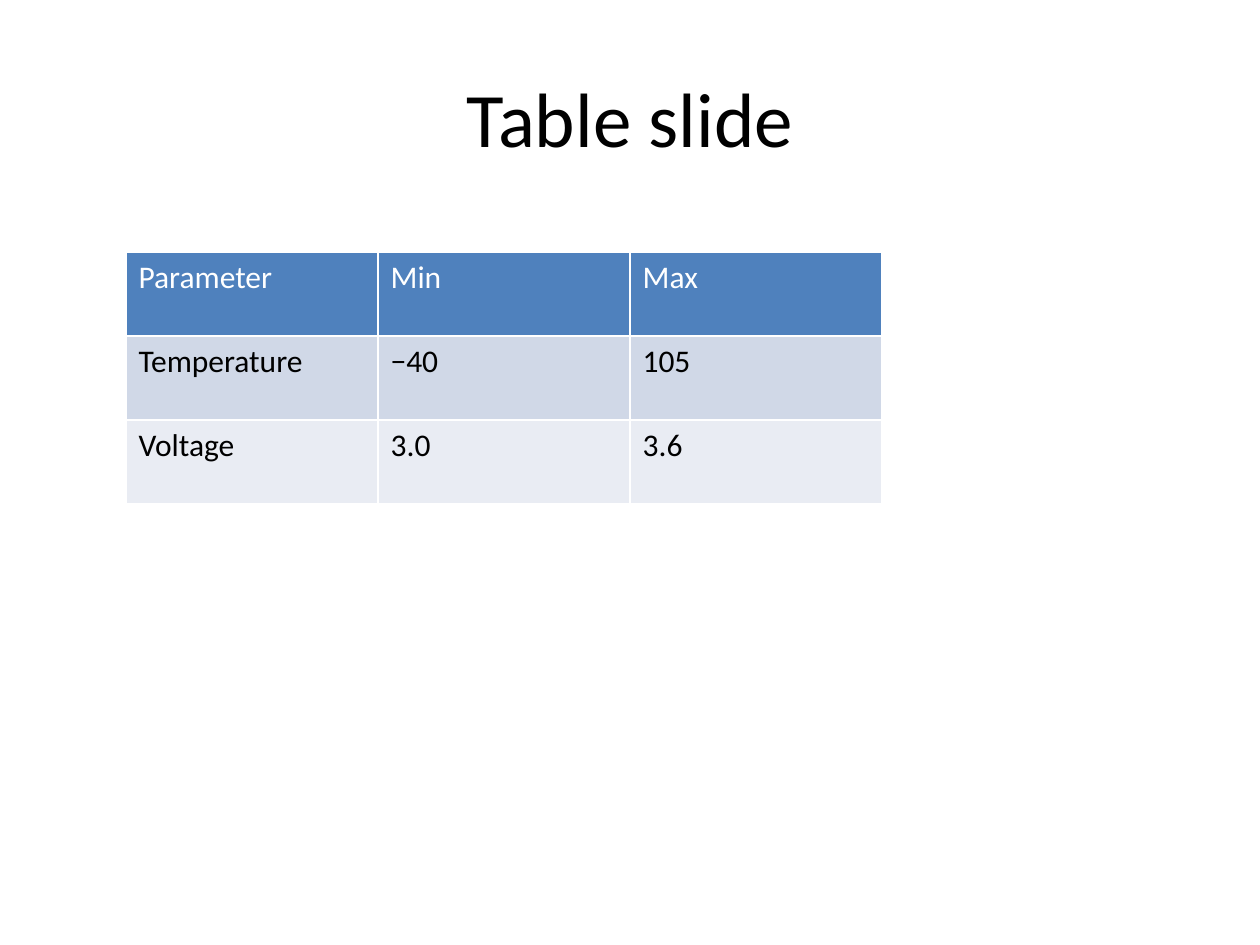
from dataclasses import dataclass

from lxml.etree import SubElement
from pptx import Presentation
from pptx.dml.color import RGBColor as RGB
from pptx.enum.text import MSO_ANCHOR as Anchor, PP_ALIGN as Align
from pptx.oxml.ns import qn
from pptx.util import Inches, Pt


@dataclass(frozen=True)
class Theme:
    font: str = "Calibri"
    title_size: int = 44
    cell_size: int = 18
    border_width: float = 0.96
    text: str = "000000"
    header_text: str = "FFFFFF"
    header_fill: str = "4F81BD"
    band_fills: tuple = ("D0D8E7", "E9ECF3")
    border: str = "FFFFFF"


THEME = Theme()
TITLE = "Table slide"
LIMITS = [
    ("Parameter", "Min", "Max"),
    ("Temperature", "−40", "105"),
    ("Voltage", "3.0", "3.6"),
]


def style_para(para, size, color):
    font = para.font
    font.name = THEME.font
    font.size = Pt(size)
    font.bold = False
    font.color.rgb = RGB.from_string(color)


def add_title(page, text):
    box = page.shapes.add_textbox(Inches(0.5), Inches(0.3), Inches(9), Inches(1.25))
    frame = box.text_frame
    frame.word_wrap = True
    frame.vertical_anchor = Anchor.MIDDLE
    frame.text = text
    para = frame.paragraphs[0]
    para.alignment = Align.CENTER
    style_para(para, THEME.title_size, THEME.text)


def set_borders(cell):
    properties = cell._tc.get_or_add_tcPr()
    for side in ("lnL", "lnR", "lnT", "lnB"):
        line = SubElement(properties, qn(f"a:{side}"), w=str(Pt(THEME.border_width)))
        fill = SubElement(line, qn("a:solidFill"))
        SubElement(fill, qn("a:srgbClr"), val=THEME.border)


def fill_cell(cell, text, fill, color):
    cell.text = text
    style_para(cell.text_frame.paragraphs[0], THEME.cell_size, color)
    # Border elements must come before the fill
    set_borders(cell)
    cell.fill.solid()
    cell.fill.fore_color.rgb = RGB.from_string(fill)


def add_limits_table(page, rows):
    # Columns and rows share the frame equally
    table = page.shapes.add_table(
        len(rows), len(rows[0]), Inches(1), Inches(2), Inches(6), Inches(2)
    ).table
    for r, values in enumerate(rows):
        if r == 0:
            fill, color = THEME.header_fill, THEME.header_text
        else:
            fill, color = THEME.band_fills[(r - 1) % 2], THEME.text
        for c, value in enumerate(values):
            fill_cell(table.cell(r, c), value, fill, color)


def main():
    deck = Presentation()
    deck.slide_width, deck.slide_height = Inches(10), Inches(7.5)
    page = deck.slides.add_slide(deck.slide_layouts[6])
    add_title(page, TITLE)
    add_limits_table(page, LIMITS)
    deck.save("out.pptx")


if __name__ == "__main__":
    main()
